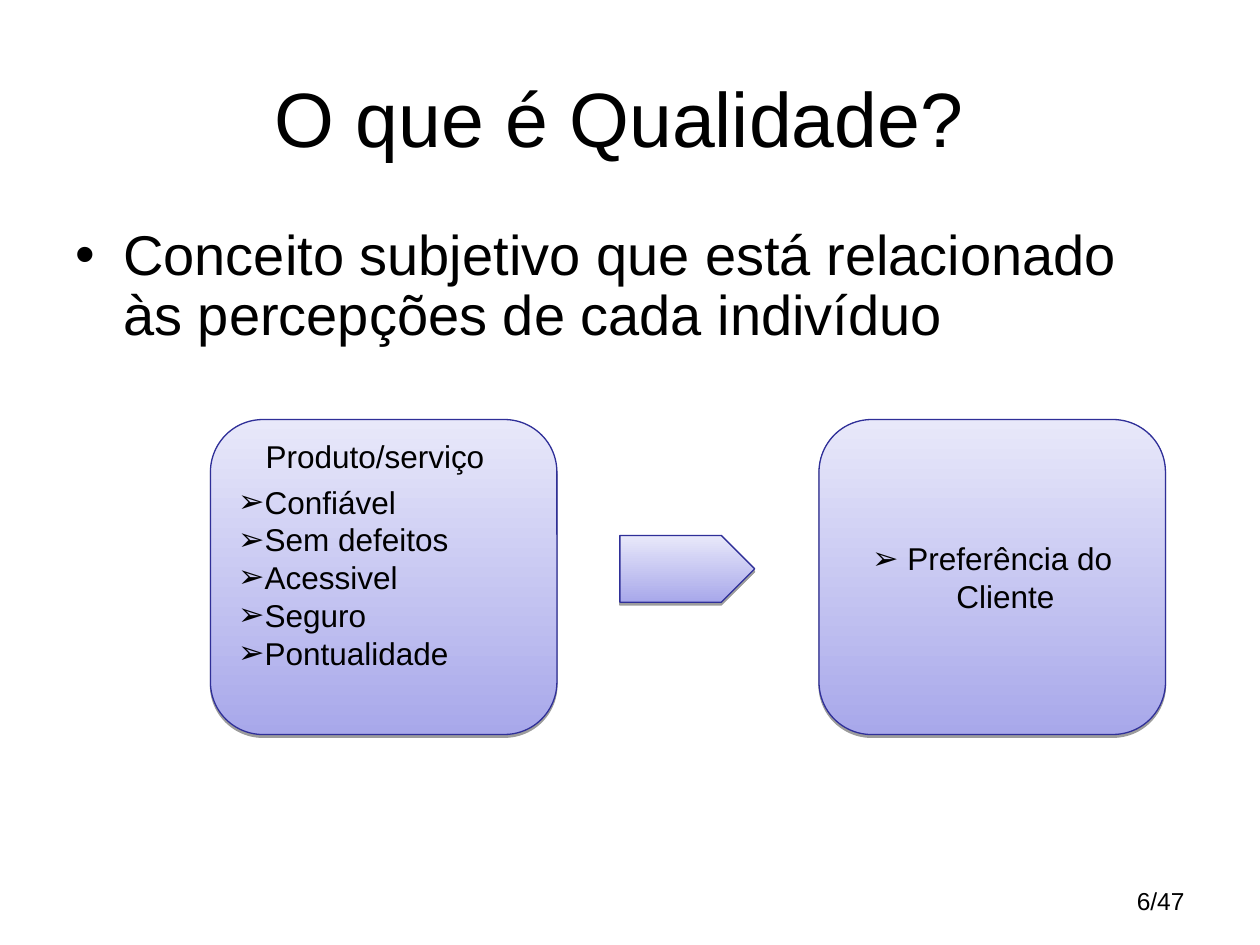
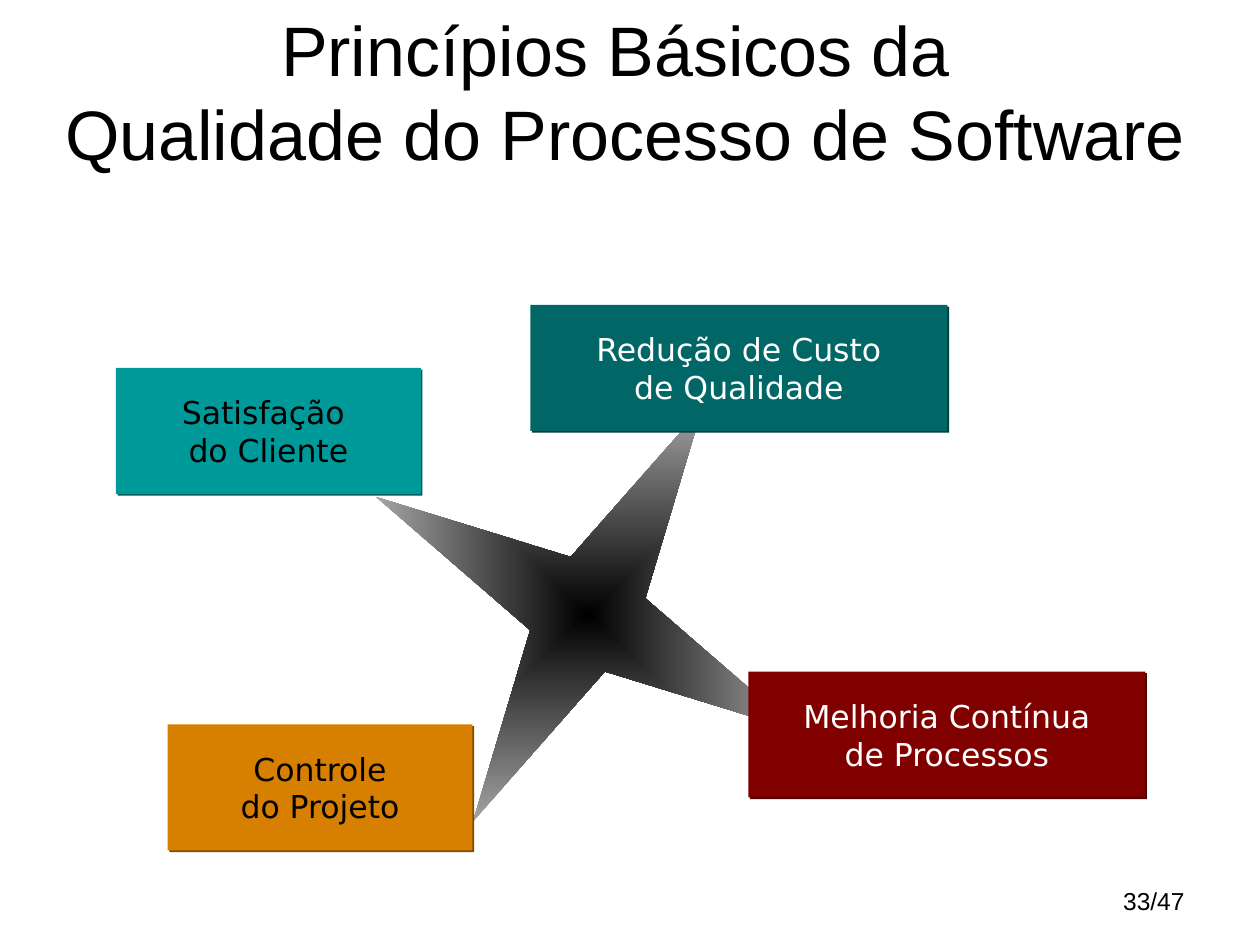
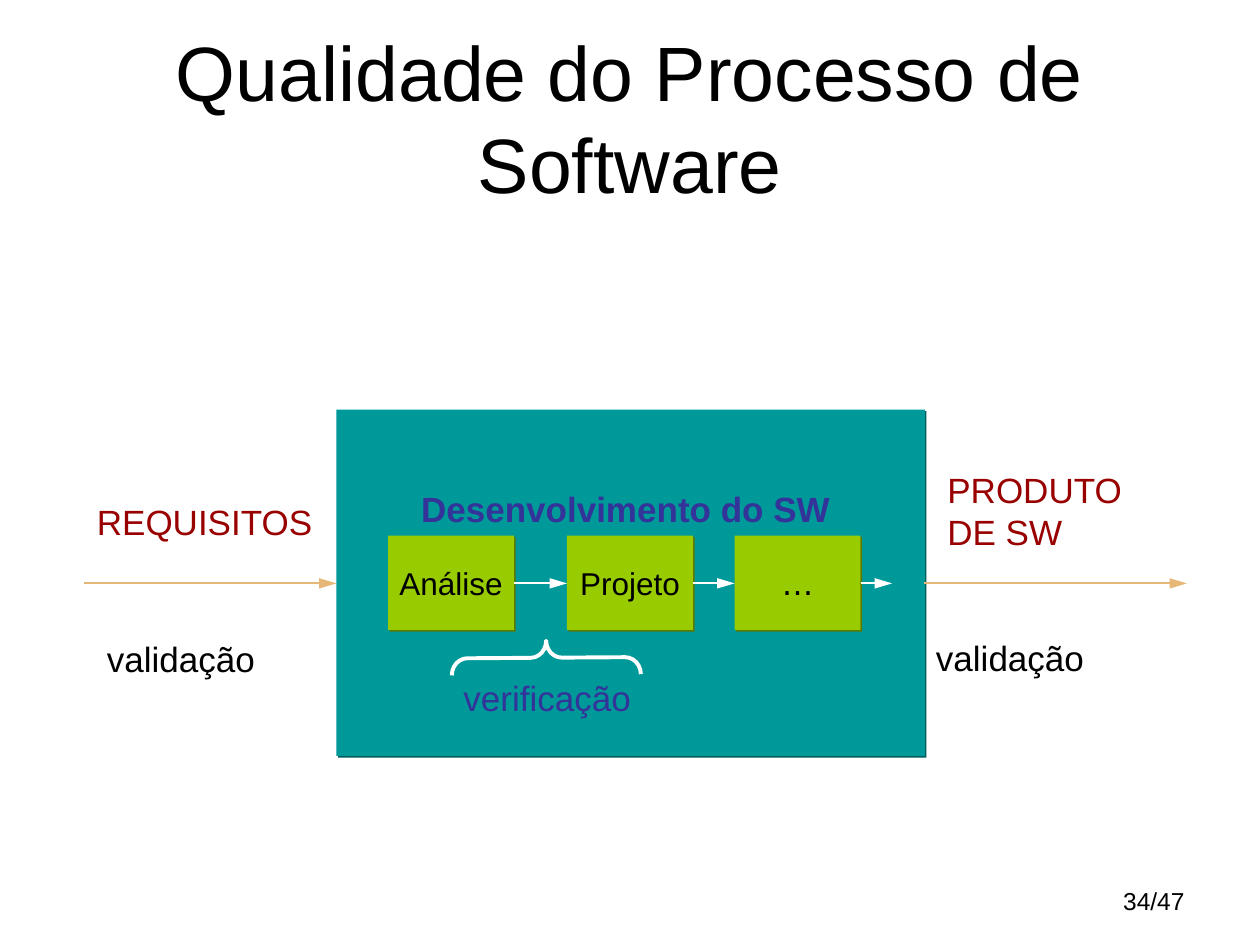
from lxml.etree import SubElement
from pptx import Presentation
from pptx.dml.color import RGBColor
from pptx.enum.shapes import MSO_CONNECTOR, MSO_SHAPE
from pptx.enum.text import MSO_ANCHOR, PP_ALIGN
from pptx.oxml.ns import qn
from pptx.util import Inches, Pt

COLORS = {
    "black": "000000", "white": "FFFFFF",
    "lilac": "A8A8EA", "pale_lilac": "E8E8FA", "indigo": "2F2F98", "blue": "333399",
    "teal": "009999", "teal_shadow": "005C5C",
    "dark_teal": "006666", "dark_teal_shadow": "003D3D",
    "maroon": "800000", "maroon_shadow": "4D0000",
    "orange": "D67F00", "orange_shadow": "804C00",
    "green": "99CC00", "green_shadow": "5C7A00",
    "red": "990000", "sand": "E7B777",
}
RGB = {name: RGBColor.from_string(value) for name, value in COLORS.items()}


def write_text(shape, lines, size=18, color="black", font="Arial", align=PP_ALIGN.LEFT,
               anchor=MSO_ANCHOR.TOP, wrap=True, bold=False, bullet=None, indent=0.21,
               spacing=1.0):
    frame = shape.text_frame
    frame.word_wrap = wrap
    frame.vertical_anchor = anchor
    for index, line in enumerate(lines):
        paragraph = frame.add_paragraph() if index else frame.paragraphs[0]
        paragraph.text = line
        paragraph.alignment = align
        if bullet:
            properties = paragraph._p.get_or_add_pPr()
            properties.set("marL", str(Inches(indent)))
            properties.set("indent", str(-Inches(indent)))
            SubElement(properties, qn("a:buFont")).set("typeface", "Arial")
            SubElement(properties, qn("a:buChar")).set("char", bullet)
        paragraph.line_spacing = spacing
        paragraph.font.name = font
        paragraph.font.size = Pt(size)
        paragraph.font.bold = bold
        paragraph.font.color.rgb = RGB[color]


def add_box(slide, kind, left, top, width, height, fill=None):
    shape = slide.shapes.add_shape(kind, Inches(left), Inches(top), Inches(width), Inches(height))
    shape.shadow.inherit = False
    if fill:
        shape.fill.solid()
        shape.fill.fore_color.rgb = RGB[fill]
        shape.line.fill.background()
        shadow_color, alpha, distance, direction = COLORS[fill + "_shadow"], 100, 1.4, 45
    else:
        shape.fill.gradient()
        shape.fill.gradient_angle = 90
        for stop, name in zip(shape.fill.gradient_stops, ("lilac", "pale_lilac")):
            stop.color.rgb = RGB[name]
        shape.line.color.rgb = RGB["indigo"]
        shape.line.width = Pt(0.75)
        shadow_color, alpha, distance, direction = COLORS["black"], 38, 1.6, 90
    effects = shape._element.spPr.find(qn("a:effectLst"))
    shadow = SubElement(effects, qn("a:outerShdw"), dist=str(Pt(distance)),
                        dir=str(direction * 60000), rotWithShape="0")
    shadow_fill = SubElement(shadow, qn("a:srgbClr"), val=shadow_color)
    SubElement(shadow_fill, qn("a:alpha"), val=str(alpha * 1000))
    return shape


presentation = Presentation()
presentation.slide_width = Inches(10)
presentation.slide_height = Inches(7.5)

slides = []
for title, size, (left, top, width, height), number in (
    ("O que é Qualidade? ", 44, (0.5, 0.3, 9, 1.25), "6/47"),
    ("Princípios Básicos da \nQualidade do Processo de Software", 40, (0, -0.06, 9.92, 1.56), "33/47"),
    ("Qualidade do Processo de Software", 44, (0.5, 0.3, 9, 1.25), "34/47"),
):
    slide = presentation.slides.add_slide(presentation.slide_layouts[6])
    title_box = slide.shapes.add_textbox(Inches(left), Inches(top), Inches(width), Inches(height))
    write_text(title_box, [title], size, align=PP_ALIGN.CENTER, anchor=MSO_ANCHOR.MIDDLE)
    footer = slide.shapes.add_textbox(Inches(7.17), Inches(6.98), Inches(2.33), Inches(0.52))
    write_text(footer, [number], 14, align=PP_ALIGN.RIGHT)
    slides.append(slide)
quality, principles, process = slides

concept = quality.shapes.add_textbox(Inches(0.5), Inches(1.75), Inches(9), Inches(4.95))
write_text(concept, ["Conceito subjetivo que está relacionado às percepções de cada indivíduo"],
           32, bullet="•", indent=0.38, spacing=0.9)
product = add_box(quality, MSO_SHAPE.ROUNDED_RECTANGLE, 1.67, 3.33, 2.75, 2.5)
write_text(product, ["Confiável", "Sem defeitos", "Acessivel", "Seguro", "Pontualidade"],
           anchor=MSO_ANCHOR.MIDDLE, bullet="➢")
heading = quality.shapes.add_textbox(Inches(2.01), Inches(3.42), Inches(2.1), Inches(0.4))
write_text(heading, ["Produto/serviço"])
add_box(quality, MSO_SHAPE.PENTAGON, 4.92, 4.25, 1.07, 0.53)
preference = add_box(quality, MSO_SHAPE.ROUNDED_RECTANGLE, 6.5, 3.33, 2.75, 2.5)
write_text(preference, [" Preferência do Cliente"], align=PP_ALIGN.CENTER,
           anchor=MSO_ANCHOR.MIDDLE, bullet="➢")

star = principles.shapes.add_shape(MSO_SHAPE.STAR_4_POINT, Inches(2.75), Inches(3),
                                   Inches(3.83), Inches(3.75))
star.adjustments[0] = 0.125
star.rotation = 29
star.shadow.inherit = False
star.line.fill.background()
star.fill.gradient()
for stop, name in zip(star.fill.gradient_stops, ("black", "white")):
    stop.color.rgb = RGB[name]
gradient = star._element.spPr.find(qn("a:gradFill"))
gradient.set("rotWithShape", "0")
gradient.remove(gradient.find(qn("a:lin")))
gradient_path = SubElement(gradient, qn("a:path"), path="rect")
SubElement(gradient_path, qn("a:fillToRect"), l="50000", t="50000", r="50000", b="50000")

for lines, left, top, width, fill, color in (
    (["Satisfação ", "do Cliente"], 0.92, 2.92, 2.42, "teal", "black"),
    (["Melhoria Contínua", "de Processos"], 5.94, 5.33, 3.15, "maroon", "white"),
    (["Redução de Custo", "de Qualidade"], 4.21, 2.42, 3.31, "dark_teal", "white"),
    (["Controle", "do Projeto"], 1.33, 5.75, 2.42, "orange", "black"),
):
    principle = add_box(principles, MSO_SHAPE.RECTANGLE, left, top, width, 1, fill)
    write_text(principle, lines, color=color, font="DejaVu Sans", align=PP_ALIGN.CENTER,
               anchor=MSO_ANCHOR.MIDDLE, wrap=False)

development = add_box(process, MSO_SHAPE.RECTANGLE, 2.67, 3.25, 4.67, 2.75, "teal")
development.text_frame.margin_top = Inches(0.62)
write_text(development, ["Desenvolvimento do SW "], 20, "blue", align=PP_ALIGN.CENTER,
           wrap=False, bold=True)

for label, left, font in (("Análise", 3.08, "Arial"), ("Projeto", 4.5, "Arial"),
                          ("…", 5.83, "DejaVu Sans")):
    stage = add_box(process, MSO_SHAPE.RECTANGLE, left, 4.25, 1, 0.75, "green")
    write_text(stage, [label], font=font, align=PP_ALIGN.CENTER,
               anchor=MSO_ANCHOR.MIDDLE, wrap=False)

for label, left, top, width, height, color in (
    ("REQUISITOS", 0.67, 3.92, 1.92, 0.44, "red"),
    ("PRODUTO DE SW", 7.42, 3.67, 1.92, 0.77, "red"),
    ("verificação", 3.58, 5.32, 1.58, 0.44, "blue"),
    ("validação", 7.33, 5, 2.08, 0.44, "black"),
    ("validação", 0.75, 5.01, 2.08, 0.44, "black"),
):
    label_box = process.shapes.add_textbox(Inches(left), Inches(top), Inches(width), Inches(height))
    write_text(label_box, [label], 20, color)

brace = process.shapes.add_shape(MSO_SHAPE.LEFT_BRACE, Inches(4.2), Inches(4.47),
                                 Inches(0.27), Inches(1.5))
brace.adjustments[0] = 0.46
brace.rotation = 89.6
brace.shadow.inherit = False
brace.fill.background()
brace.line.color.rgb = RGB["white"]
brace.line.width = Pt(2.25)

for start, end, color in ((0.67, 2.67, "sand"), (7.33, 9.42, "sand"), (4.08, 4.5, "white"),
                          (5.5, 5.83, "white"), (6.83, 7.08, "white")):
    arrow = process.shapes.add_connector(MSO_CONNECTOR.STRAIGHT, Inches(start), Inches(4.63),
                                         Inches(end), Inches(4.63))
    arrow.line.width = Pt(1.25)
    arrow.line.color.rgb = RGB[color]
    SubElement(arrow.line._get_or_add_ln(), qn("a:tailEnd"), type="triangle", w="med", len="lg")
    SubElement(arrow._element.spPr, qn("a:effectLst"))

presentation.save("out.pptx")
